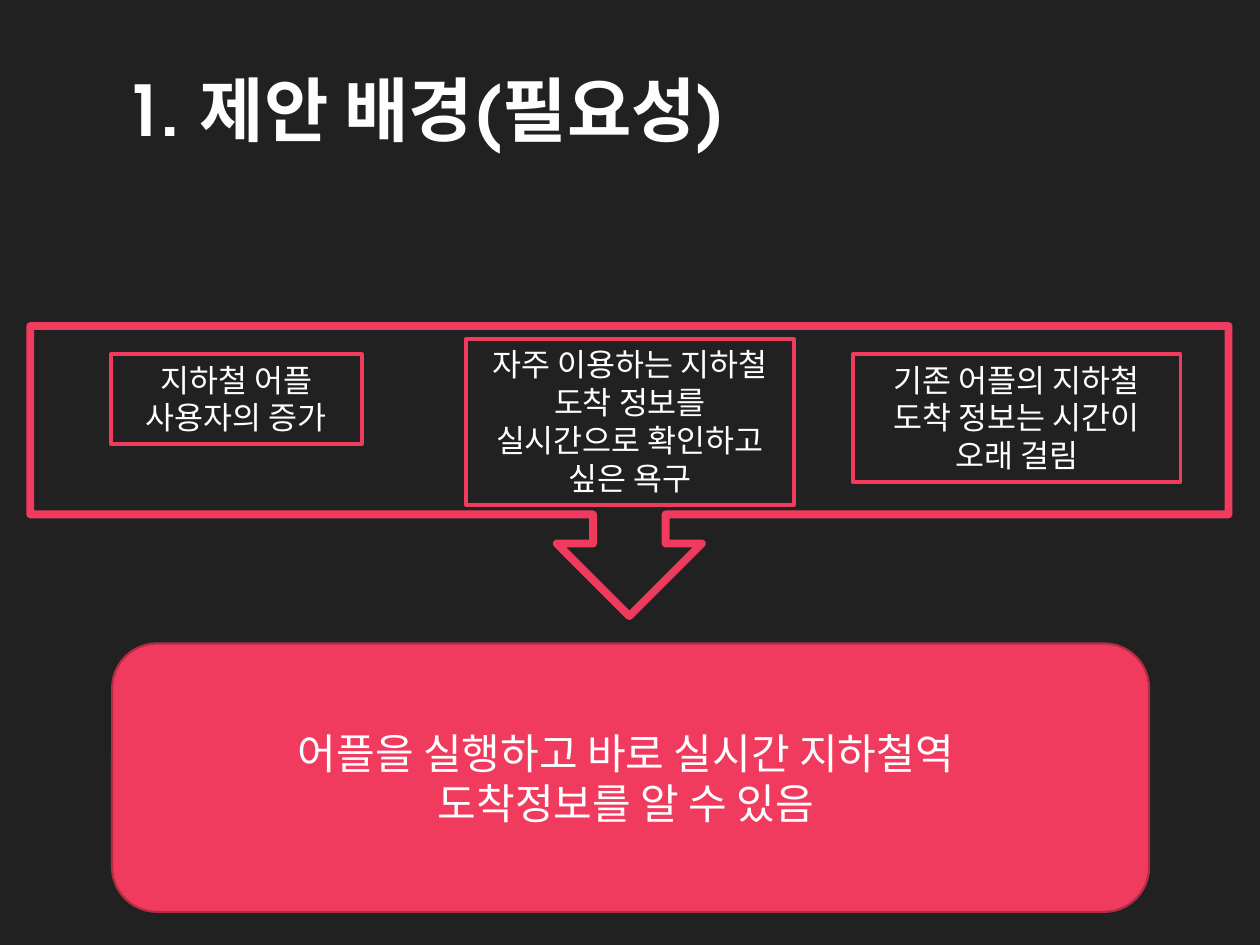
from lxml import etree
from pptx import Presentation
from pptx.dml.color import RGBColor
from pptx.enum.shapes import MSO_SHAPE
from pptx.enum.text import MSO_ANCHOR, PP_ALIGN
from pptx.oxml.ns import qn
from pptx.util import Inches, Pt

CALLOUT, RECT, ROUNDED = (MSO_SHAPE.DOWN_ARROW_CALLOUT, MSO_SHAPE.RECTANGLE,
                          MSO_SHAPE.ROUNDED_RECTANGLE)
TOP, MIDDLE, BOTTOM = MSO_ANCHOR.TOP, MSO_ANCHOR.MIDDLE, MSO_ANCHOR.BOTTOM
LEFT, CENTER = PP_ALIGN.LEFT, PP_ALIGN.CENTER
CHARCOAL = RGBColor(0x21, 0x21, 0x21)
PINK = RGBColor(0xF0, 0x3B, 0x5E)
DARK_PINK = RGBColor(0xB2, 0x2C, 0x46)
OFF_WHITE = RGBColor(0xFE, 0xFE, 0xFE)
WHITE = RGBColor(0xFF, 0xFF, 0xFF)
FONT = "TeX Gyre Adventor"

WIDTH, HEIGHT = Inches(10), Inches(7.5)
MARGIN, CONTENT_WIDTH = 0.089, 0.823
REASON_TOP, WIDE_REASON = 0.375, 0.26


def write(holder, lines, anchor, align, size, color, bold=False):
    frame = holder.text_frame
    frame.text = "\n".join(lines)
    frame_format = {"word_wrap": True, "vertical_anchor": anchor}
    for key, value in frame_format.items():
        setattr(frame, key, value)
    font_format = {"name": FONT, "size": Pt(size), "bold": bold}
    for paragraph in frame.paragraphs:
        paragraph.alignment = align
        font = paragraph.runs[0].font
        for key, value in font_format.items():
            setattr(font, key, value)
        font.color.rgb = color


def add_box(kind, left, top, width, height, line_color, line_width, fill=None):
    box = slide.shapes.add_shape(kind, int(left * WIDTH), int(top * HEIGHT),
                                 int(width * WIDTH), int(height * HEIGHT))
    box.shadow.inherit = False
    if fill is None:
        box.fill.background()
    else:
        box.fill.solid()
        box.fill.fore_color.rgb = fill
    box.line.color.rgb = line_color
    box.line.width = Pt(line_width)
    etree.SubElement(box.line._get_or_add_ln(), qn("a:round"))
    return box


deck = Presentation()
deck.slide_width, deck.slide_height = WIDTH, HEIGHT
slide = deck.slides.add_slide(deck.slide_layouts[5])
slide.background.fill.solid()
slide.background.fill.fore_color.rgb = CHARCOAL

title = slide.shapes.title
title_place = {"left": int(MARGIN * WIDTH), "top": int(0.025 * HEIGHT),
               "width": int(CONTENT_WIDTH * WIDTH), "height": int(0.141 * HEIGHT)}
for key, value in title_place.items():
    setattr(title, key, value)
write(title, ["1. 제안 배경(필요성)"], BOTTOM, LEFT, 40, OFF_WHITE, True)
title_fill = title.text_frame.paragraphs[0].runs[0].font._element.find(qn("a:solidFill"))
effects = etree.Element(qn("a:effectLst"))
glow = etree.SubElement(effects, qn("a:outerShdw"), blurRad="50800", dist="12700", dir="5400000")
black = etree.SubElement(glow, qn("a:srgbClr"), val="000000")
etree.SubElement(black, qn("a:alpha"), val="60000")
title_fill.addnext(effects)

add_box(CALLOUT, 0.024, 0.345, 0.951, 0.307, PINK, 4.5)

reasons = [
    ("지하철 어플 사용자의 증가", 0.088, REASON_TOP, 0.199, 0.095),
    ("자주 이용하는 지하철 도착 정보를 실시간으로 확인하고 싶은 욕구",
     0.37, 0.359, WIDE_REASON, 0.175),
    ("기존 어플의 지하철 도착 정보는 시간이 오래 걸림",
     0.677, REASON_TOP, WIDE_REASON, 0.135),
]
for reason, left, top, width, height in reasons:
    reason_box = add_box(RECT, left, top, width, height, PINK, 2.25)
    write(reason_box, [reason], TOP, CENTER, 18, WHITE)

benefit = add_box(ROUNDED, MARGIN, 0.681, CONTENT_WIDTH, 0.284, DARK_PINK, 1.25, PINK)
write(benefit, ["어플을 실행하고 바로 실시간 지하철역 ", "도착정보를 알 수 있음 "],
      MIDDLE, CENTER, 24, WHITE)

deck.save("out.pptx")
